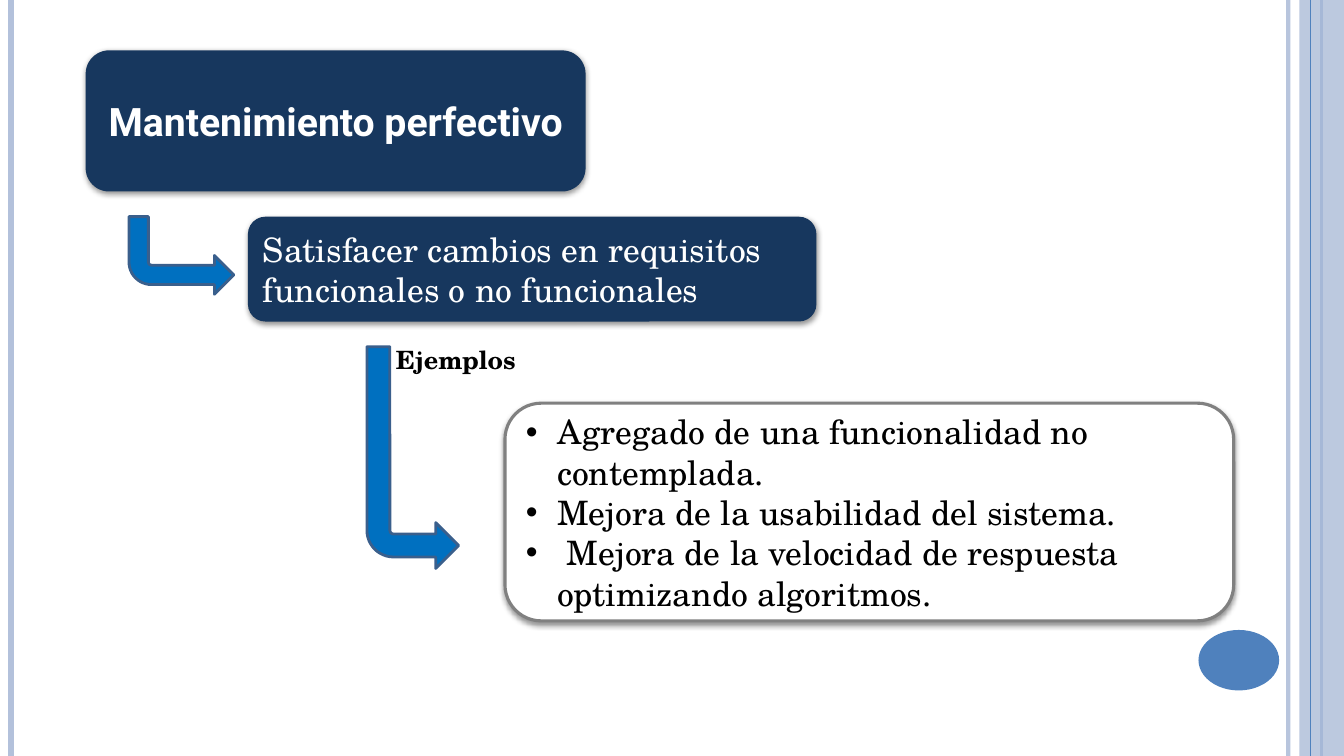
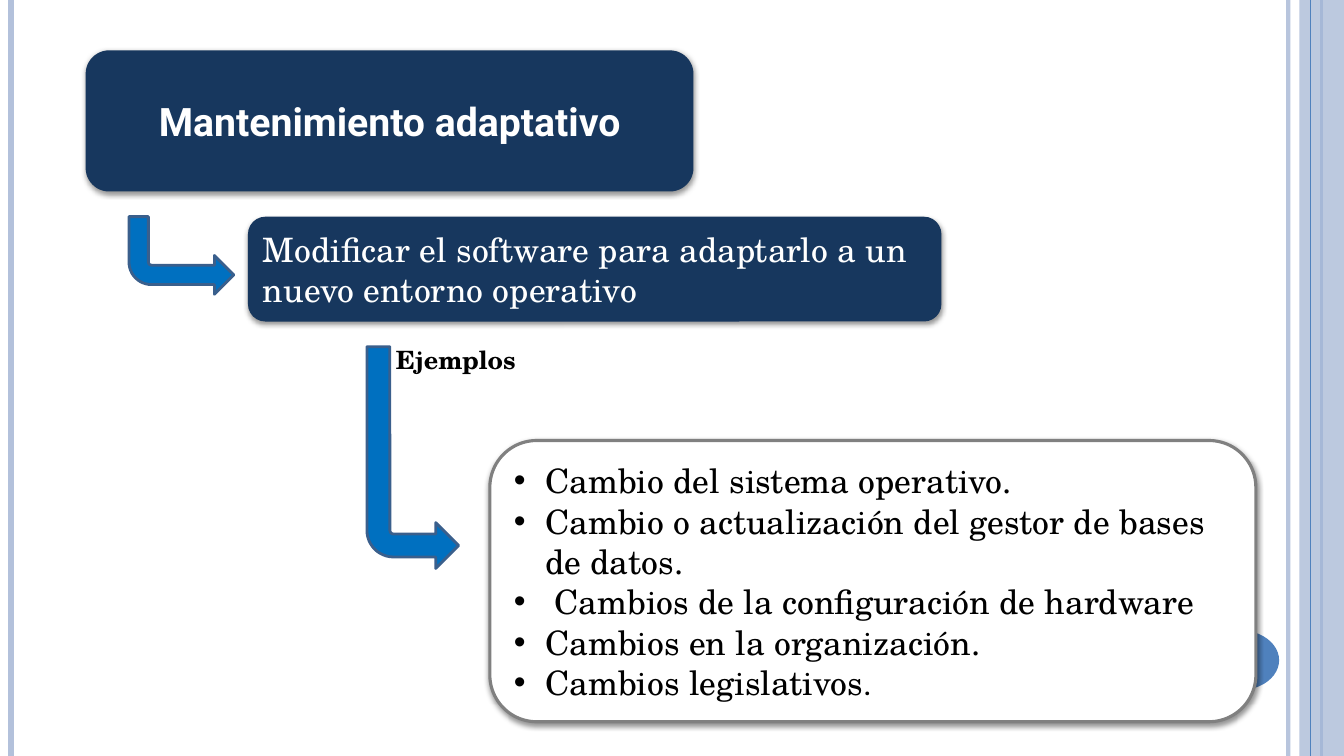
from dataclasses import dataclass

from lxml import etree
from pptx import Presentation
from pptx import util as u
from pptx.dml.color import RGBColor
from pptx.enum import shapes, text
from pptx.oxml import ns

COLUMNS, ROWS = 80, 45
CELL = u.Inches(7.5) / ROWS
CORNER_INSET = 0.05  # share of a rounded panel's height lost to its corners
MARGIN = u.Inches(0.1)
HANG = u.Inches(0.31)


@dataclass(frozen=True)
class Theme:
    navy: str = "17375E"
    blue: str = "4F81BD"
    pale: str = "B3C1DB"
    arrow: str = "0070C0"
    arrow_edge: str = "3A5F8C"
    gray: str = "808080"
    white: str = "FFFFFF"
    black: str = "000000"
    heading: str = "Roboto"
    body: str = "TeX Gyre Schola"
    title_size: int = 28
    body_size: int = 24
    label_size: int = 18


THEME = Theme()


def cells(*counts):
    return [u.Emu(round(count * CELL)) for count in counts]


def child(parent, tag, **attributes):
    element = etree.SubElement(parent, ns.qn(tag))
    for name, value in attributes.items():
        element.set(name, str(value))
    return element


def paint(fill, color, opacity=100):
    fill.solid()
    fill.fore_color.rgb = RGBColor.from_string(color)
    if opacity < 100:
        for tint in fill._xPr.iter(ns.qn("a:srgbClr")):
            child(tint, "a:alpha", val=opacity * 1000)


class Deck:
    """Holds the style, the presentation and the slide being drawn."""

    def __init__(self, theme):
        self.theme = theme
        self.file = Presentation()
        self.file.slide_width, self.file.slide_height = cells(COLUMNS, ROWS)
        self.layout = self.file.slide_layouts[1]
        for holder in list(self.layout.placeholders)[2:]:
            holder.element.getparent().remove(holder.element)
        self.page = None

    def new_page(self):
        self.page = self.file.slides.add_slide(self.layout)

    def frame(self):
        """Draw the side bands and the disc, then move them to the layout."""
        theme = self.theme
        parts = [
            self.rule(76.68, theme.pale, 3, 93),
            self.rule(0.66, theme.pale, 4.5),
            self.rule(78.66, theme.blue, 1.5),
            self.shape(shapes.MSO_SHAPE.RECTANGLE, (77.34, 0, 2.66, ROWS),
                       theme.pale, opacity=87),
            self.rule(78, theme.blue, 0.75),
            self.shape(shapes.MSO_SHAPE.OVAL, (71.34, 37.5, 4.8, 3.6), theme.blue),
        ]
        tree = self.layout.placeholders[0].element.getparent()
        for part in parts:
            tree.append(part.element)

    def rule(self, column, color, width, opacity=100):
        """Draw a vertical line over the full height."""
        line = self.page.shapes.add_connector(
            shapes.MSO_CONNECTOR.STRAIGHT, *cells(column, 0, column, ROWS))
        line.line.width = u.Pt(width)
        paint(line.line.fill, color, opacity)
        child(line.element.spPr, "a:effectLst")
        return line

    def shape(self, kind, area, fill, edge=None, width=0, opacity=100):
        shape = self.page.shapes.add_shape(kind, *cells(*area))
        shape.shadow.inherit = False
        paint(shape.fill, fill, opacity)
        if edge:
            paint(shape.line.fill, edge)
            shape.line.width = u.Pt(width)
        else:
            shape.line.fill.background()
        return shape

    def panel(self, area, fill, edge=None):
        """Draw a rounded box with a soft shadow below it."""
        panel = self.shape(shapes.MSO_SHAPE.ROUNDED_RECTANGLE, area, fill, edge, 2.25)
        effects = panel.element.spPr.find(ns.qn("a:effectLst"))
        shadow = child(effects, "a:outerShdw", blurRad=u.Pt(4), dist=u.Pt(1.6),
                       dir=90 * 60000, rotWithShape=0)
        tint = child(shadow, "a:srgbClr", val=self.theme.black)
        child(tint, "a:alpha", val=42000)
        return panel

    def seat(self, holder, area, panel):
        """Lay a placeholder over a panel, inside its rounded corners."""
        holder.left, holder.top, holder.width, holder.height = cells(*area)
        holder.element.addprevious(panel.element)
        frame = holder.text_frame
        frame.auto_size = text.MSO_AUTO_SIZE.NONE
        frame.word_wrap = True
        frame.vertical_anchor = text.MSO_ANCHOR.MIDDLE
        frame.margin_left = frame.margin_right = MARGIN + round(panel.height * CORNER_INSET)
        frame.margin_top = frame.margin_bottom = 0
        return frame

    def add_span(self, para, words, size, color, font=None, bold=False):
        span = para.add_run()
        span.text = words
        span.font.name = font or self.theme.body
        span.font.size = u.Pt(size)
        span.font.bold = bold
        span.font.color.rgb = RGBColor.from_string(color)

    def title(self, words, area):
        theme = self.theme
        frame = self.seat(self.page.shapes.title, area, self.panel(area, theme.navy))
        para = frame.paragraphs[0]
        para.alignment = text.PP_ALIGN.CENTER
        self.add_span(para, words, theme.title_size, theme.white, theme.heading, True)

    def bullets(self, items, area):
        """Each item is a list of (words, font) runs."""
        theme = self.theme
        frame = self.seat(self.page.placeholders[1], area,
                          self.panel(area, theme.white, theme.gray))
        for index, runs in enumerate(items):
            para = frame.add_paragraph() if index else frame.paragraphs[0]
            para.space_before = u.Pt(0)
            for words, font in runs:
                self.add_span(para, words, theme.body_size, theme.black, font)
            properties = para._p.get_or_add_pPr()
            properties.set("marL", str(HANG))
            properties.set("indent", str(-HANG))
            child(properties, "a:buFont", typeface="Arial")
            child(properties, "a:buChar", char="•")

    def statement(self, words, area):
        box = self.panel(area, self.theme.navy)
        box.text_frame.word_wrap = True
        box.text_frame.vertical_anchor = text.MSO_ANCHOR.MIDDLE
        para = box.text_frame.paragraphs[0]
        para.alignment = text.PP_ALIGN.LEFT
        self.add_span(para, words, self.theme.body_size, self.theme.white)

    def bent_arrow(self, area):
        arrow = self.shape(shapes.MSO_SHAPE.BENT_ARROW, area,
                           self.theme.arrow, self.theme.arrow_edge, 2)
        for index, share in enumerate((0.25, 0.25, 0.25, 0.29)):
            arrow.adjustments[index] = share
        arrow.element.spPr.find(ns.qn("a:xfrm")).set("flipV", "1")

    def label(self, words, area):
        box = self.page.shapes.add_textbox(*cells(*area))
        box.text_frame.word_wrap = True
        box.text_frame.auto_size = text.MSO_AUTO_SIZE.SHAPE_TO_FIT_TEXT
        self.add_span(box.text_frame.paragraphs[0], words, self.theme.label_size,
                      self.theme.black, bold=True)

    def maintenance(self, title, title_width, purpose, purpose_width, examples, examples_area):
        """Draw the cascade from a kind of maintenance to its examples."""
        self.title(title, (5.1, 3, title_width, 8.4))
        self.bullets(examples, examples_area)
        self.statement(purpose, (14.76, 12.9, purpose_width, 6.24))
        self.bent_arrow((7.68, 12.9, 6.24, 4.62))
        self.bent_arrow((21.84, 20.64, 5.46, 13.2))
        self.label("Ejemplos", (22.98, 20.22, 8.7, 2.4))


def main():
    deck = Deck(THEME)
    deck.new_page()
    deck.frame()
    deck.maintenance(
        "Mantenimiento perfectivo", 29.76,
        "Satisfacer cambios en requisitos funcionales o no funcionales", 33.84,
        [[("Agregado de una funcionalidad no contemplada.", None)],
         [("Mejora de la usabilidad del sistema.", None)],
         [(" Mejora de la velocidad de respuesta optimizando algoritmos.", None)]],
        (30.06, 24, 43.38, 12.96))

    deck.new_page()
    deck.maintenance(
        "Mantenimiento adaptativo", 36.18,
        "Modificar el software para adaptarlo a un nuevo entorno operativo", 41.28,
        [[("Cambio del sistema operativo.", None)],
         [("Cambio o actualización del gestor de bases de datos.", None)],
         [(" Cambios de la configuración de hardware", None)],
         [("Cambios en la organización.", None)],
         [("Cambios legislativos", None), (".", THEME.heading)]],
        (29.16, 26.22, 45.6, 16.74))
    deck.file.save("out.pptx")


if __name__ == "__main__":
    main()
